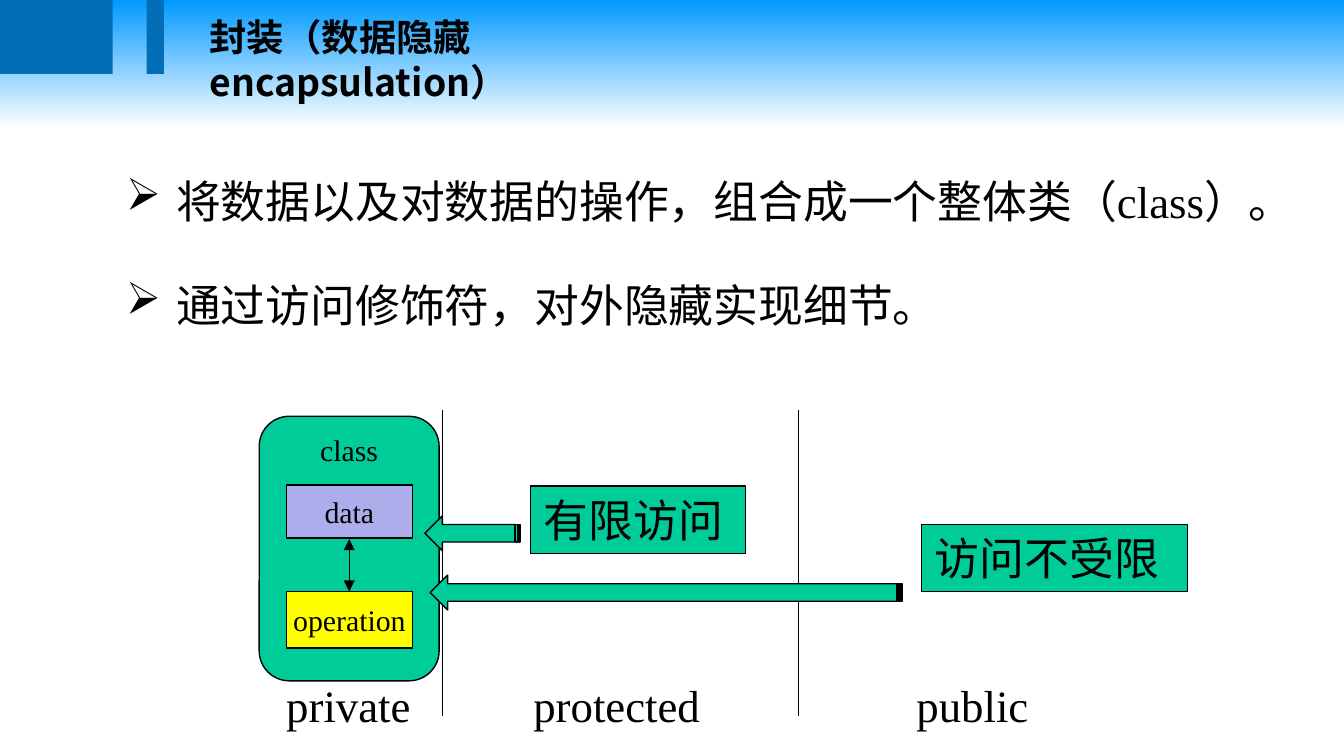
from lxml import etree
from pptx import Presentation
from pptx import util as u
from pptx.dml.color import RGBColor
from pptx.enum import shapes as s, text as t
from pptx.oxml.ns import qn

GREEN, BLUE, BLACK = "00CC99", "036EB8", "000000"
SERIF, SANS = "Times New Roman", "Noto Sans CJK SC"


def paint(color_format, color):
    color_format.rgb = RGBColor.from_string(color)


def write(shape, lines, size, font=SERIF, align=t.PP_ALIGN.LEFT, wrap=True, bullet=None):
    frame = shape.text_frame
    frame.word_wrap = wrap
    frame.text = "\n".join(lines)
    for paragraph in frame.paragraphs:
        paragraph.alignment = align
        if bullet:
            properties = paragraph._p.get_or_add_pPr()
            properties.set("marL", str(u.Cm(0.95)))
            properties.set("indent", str(u.Cm(-0.95)))
            etree.SubElement(properties, qn("a:buChar"), char=bullet)
        paragraph.font.size = u.Pt(size)
        paragraph.font.name = font
        paint(paragraph.font.color, BLACK)
    return frame


prs = Presentation()
prs.slide_width, prs.slide_height = u.Cm(25.4), u.Cm(14.29)
slide = prs.slides.add_slide(prs.slide_layouts[6])
canvas = slide.shapes

# Background fading from blue to white
sky = slide.background.fill
sky.gradient()
sky.gradient_angle = 270
for stop, (position, color) in zip(sky.gradient_stops, [(0, "0099FF"), (0.17, "FFFFFF")]):
    stop.position = position
    paint(stop.color, color)

# Header bars and title
for left, width in [(0, 2.13), (2.77, 0.33)]:
    bar = canvas.add_shape(s.MSO_SHAPE.RECTANGLE, u.Cm(left), 0, u.Cm(width), u.Cm(1.4))
    bar.shadow.inherit = False
    bar.fill.solid()
    paint(bar.fill.fore_color, BLUE)
    bar.line.fill.background()

title = canvas.add_textbox(u.Cm(3.71), u.Cm(0.15), u.Cm(11.18), u.Cm(1.12))
heading = write(title, ["封装（数据隐藏 encapsulation）"], 20, SANS)
heading.paragraphs[0].font.bold = True

# Key points
points = canvas.add_textbox(u.Cm(2.13), u.Cm(3.15), u.Cm(22.81), u.Cm(3.33))
statements = write(points, ["将数据以及对数据的操作，组合成一个整体类（class）。",
                            "通过访问修饰符，对外隐藏实现细节。"], 24, bullet="➢")
statements.paragraphs[1].space_before = u.Pt(27)

# Class with its members
members = [
    ("class", s.MSO_SHAPE.ROUNDED_RECTANGLE, 4.9, 7.87, 3.4, 5, GREEN, t.MSO_ANCHOR.TOP),
    ("data", s.MSO_SHAPE.RECTANGLE, 5.41, 9.17, 2.39, 1, "ADADEB", t.MSO_ANCHOR.MIDDLE),
    ("operation", s.MSO_SHAPE.RECTANGLE, 5.41, 11.18, 2.39, 1.07, "FFFF00", t.MSO_ANCHOR.MIDDLE),
]
outlined = []
for name, kind, left, top, width, height, color, anchor in members:
    member = canvas.add_shape(kind, u.Cm(left), u.Cm(top), u.Cm(width), u.Cm(height))
    write(member, [name], 16, align=t.PP_ALIGN.CENTER, wrap=False).vertical_anchor = anchor
    outlined.append((member, color))

# Data-operation link and the two access borders
for x, top, bottom, arrowed in [(6.6, 10.19, 11.18, True), (8.36, 7.75, 13.54, False),
                                (15.09, 7.75, 13.54, False)]:
    border = canvas.add_connector(s.MSO_CONNECTOR.STRAIGHT, u.Cm(x), u.Cm(top), u.Cm(x), u.Cm(bottom))
    border.line.width = u.Pt(0.75)
    paint(border.line.color, BLACK)
    if arrowed:
        for end in ("a:headEnd", "a:tailEnd"):
            etree.SubElement(border.line._get_or_add_ln(), qn(end), type="triangle")
    etree.SubElement(border._element.spPr, qn("a:effectLst"))

# Access levels
for level, left, width in [("private", 5.16, 2.87), ("protected", 9.83, 3.68), ("public", 17.07, 2.64)]:
    label = canvas.add_textbox(u.Cm(left), u.Cm(12.68), u.Cm(width), u.Cm(1.27))
    write(label, [level], 24, wrap=False)

# Access notes
for note, left, top, width in [("访问不受限", 17.42, 9.91, 5.03), ("有限访问", 10.03, 9.19, 4.06)]:
    access = canvas.add_shape(s.MSO_SHAPE.RECTANGLE, u.Cm(left), u.Cm(top), u.Cm(width), u.Cm(1.27))
    write(access, [note], 24)
    outlined.append((access, GREEN))

# Arrows pointing back to the class
for left, top, width in [(8.03, 9.75, 1.8), (8.13, 10.87, 8.92)]:
    arrow = canvas.add_shape(s.MSO_SHAPE.STRIPED_RIGHT_ARROW, u.Cm(left), u.Cm(top), u.Cm(width), u.Cm(0.66))
    arrow.rotation = 180
    outlined.append((arrow, GREEN))

# Shared look of the diagram shapes
for part, color in outlined:
    part.shadow.inherit = False
    part.fill.solid()
    paint(part.fill.fore_color, color)
    paint(part.line.color, BLACK)
    part.line.width = u.Pt(0.75)

prs.save("out.pptx")
